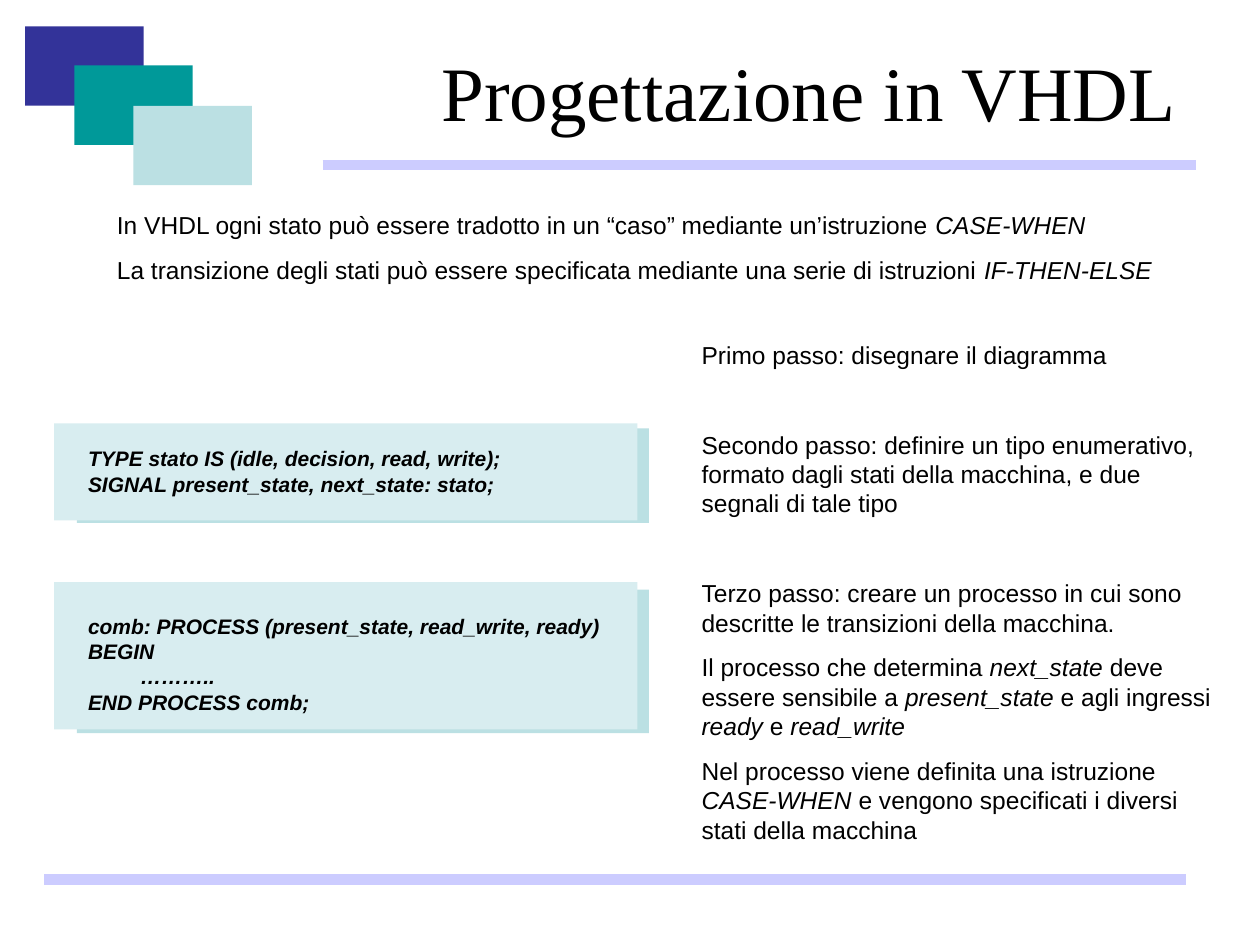
from pptx import Presentation
from pptx.dml.color import RGBColor as RGB
from pptx.enum.shapes import MSO_CONNECTOR as CONN, MSO_SHAPE as SHAPE
from pptx.enum.text import MSO_ANCHOR as ANCHOR, PP_ALIGN as ALIGN
from pptx.oxml.ns import qn
from pptx.util import Inches, Pt

HUES = {"ink": "000000", "navy": "333399", "teal": "009999",
        "aqua": "BBE0E3", "pale": "D8EDF0", "rule": "CCCCFF"}
TITLE = {"name": "Times New Roman", "size": Pt(44)}
BODY = {"name": "Arial", "size": Pt(14)}
CODE = {"name": "Arial", "size": Pt(12), "bold": True, "italic": True}
GAP = 8.8    # space between paragraphs
STEP = 34.4  # space between steps

deck = Presentation()
deck.slide_width, deck.slide_height = Inches(10), Inches(7.5)
slide = deck.slides.add_slide(deck.slide_layouts[6])
shapes = slide.shapes


def place(*sides):
    """Turn percentages of the slide's width and height into lengths."""
    full = (deck.slide_width, deck.slide_height) * 2
    return [round(side * size / 100) for side, size in zip(sides, full)]


def write(box, paras, style):
    """Add a text box; *stars* mark italics, each paragraph has its gap."""
    frame = shapes.add_textbox(*place(*box)).text_frame
    frame.word_wrap = True
    for num, (gap, text) in enumerate(paras):
        para = frame.paragraphs[0] if num == 0 else frame.add_paragraph()
        para.space_before = Pt(gap)
        for part, words in enumerate(text.split("*")):
            if not words:
                continue
            run = para.add_run()
            run.text = words
            run.font.color.rgb = RGB.from_string(HUES["ink"])
            for key, val in ({"italic": part % 2 == 1} | style).items():
                setattr(run.font, key, val)
    return frame


# Title
head = write((33.5, 2.8, 61.4, 13.6), [(0, "Progettazione in VHDL")], TITLE)
head.vertical_anchor = ANCHOR.MIDDLE
head.paragraphs[0].alignment = ALIGN.CENTER

# Corner tiles, then the shadow and face of each code panel
rects = [
    ("navy", (2, 2.8, 9.4, 8.4)),
    ("teal", (5.9, 6.93, 9.4, 8.4)),
    ("aqua", (10.6, 11.2, 9.4, 8.4)),
    ("aqua", (6.1, 45.33, 45.4, 10)),
    ("pale", (4.3, 44.8, 46.3, 10.27)),
    ("aqua", (6.1, 62.4, 45.4, 15.2)),
    ("pale", (4.3, 61.6, 46.3, 15.6)),
]
for hue, box in rects:
    rect = shapes.add_shape(SHAPE.RECTANGLE, *place(*box))
    rect.shadow.inherit = False
    rect.fill.solid()
    rect.fill.fore_color.rgb = RGB.from_string(HUES[hue])
    rect.line.fill.background()

# Rules under the title and at the foot
for left, right, y in [(25.6, 94.9, 17.47), (3.5, 94.1, 93.07)]:
    rule = shapes.add_connector(CONN.STRAIGHT, *place(left, y, right, y))
    rule.line.color.rgb = RGB.from_string(HUES["rule"])
    rule.line.width = Pt(6)
    props = rule._element.spPr
    props.append(props.makeelement(qn("a:effectLst"), {}))

# Opening remarks
write((8.3, 21.6, 87.4, 9.2), [
    (0, "In VHDL ogni stato può essere tradotto in un “caso” mediante "
        "un’istruzione *CASE-WHEN*"),
    (GAP, "La transizione degli stati può essere specificata mediante una "
          "serie di istruzioni *IF-THEN-ELSE*"),
], BODY)

# Steps
write((54.7, 35.33, 43.3, 54.67), [
    (0, "Primo passo: disegnare il diagramma"),
    (STEP, "Secondo passo: definire un tipo enumerativo, formato dagli stati "
           "della macchina, e due segnali di tale tipo"),
    (STEP, "Terzo passo: creare un processo in cui sono descritte le "
           "transizioni della macchina."),
    (GAP, "Il processo che determina *next_state* deve essere sensibile a "
          "*present_state* e agli ingressi *ready* e *read_write*"),
    (GAP, "Nel processo viene definita una istruzione *CASE-WHEN* e vengono "
          "specificati i diversi stati della macchina"),
], BODY)

# Code
write((6, 46.53, 43.2, 6.67), [
    (0, "TYPE stato IS (idle, decision, read, write);"),
    (0, "SIGNAL present_state, next_state: stato;"),
], CODE)
write((6, 64.27, 43.2, 12), [
    (0, "comb: PROCESS (present_state, read_write, ready)"),
    (0, "BEGIN"),
    (0, "         ……….."),
    (0, "END PROCESS comb;"),
], CODE)

deck.save("out.pptx")
